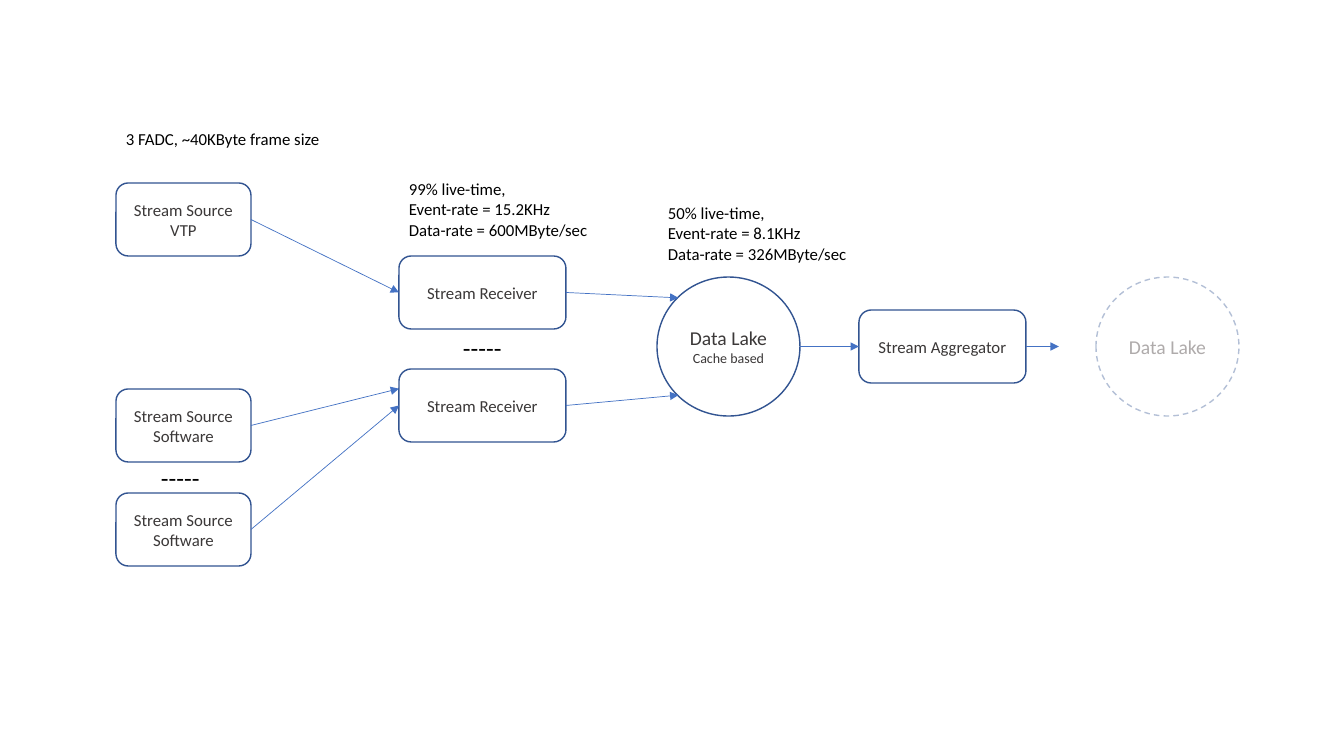
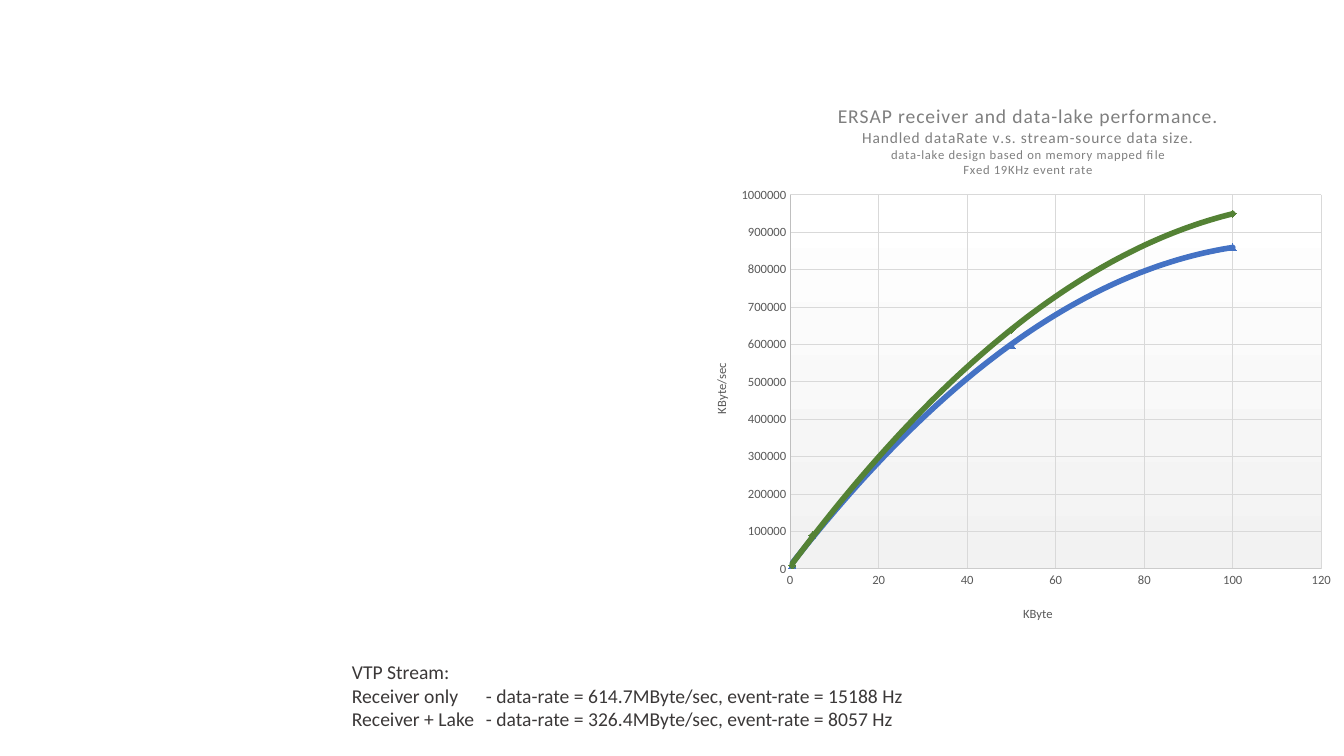
"""Build two slides: a streaming data pipeline and its measured performance."""
from dataclasses import dataclass

from lxml.etree import SubElement
from pptx import Presentation
from pptx.chart.data import XyChartData
from pptx.dml.color import RGBColor
from pptx.enum.chart import XL_CHART_TYPE as ChartType, XL_MARKER_STYLE as Marker, XL_TICK_MARK as Tick
from pptx.enum.dml import MSO_LINE as Dash
from pptx.enum.shapes import MSO_CONNECTOR as Connector, MSO_SHAPE as Shape
from pptx.enum.text import MSO_ANCHOR as Anchor, PP_ALIGN as Align
from pptx.oxml import parse_xml
from pptx.oxml.ns import nsdecls, qn
from pptx.util import Pt


@dataclass(frozen=True)
class Theme:
    font: str = "Calibri"
    black: str = "000000"
    text: str = "3B3838"
    muted: str = "AFABAB"
    outline: str = "325491"
    arrow: str = "4472C4"
    chart_title: str = "7F7F7F"
    axis_text: str = "595959"
    axis_x: str = "CCCCCC"
    axis_y: str = "BFBFBF"
    grid: str = "D9D9D9"
    plot_top: str = "FFFFFF"
    plot_bottom: str = "F2F2F2"
    with_lake: str = "548235"
    dashes: int = 18
    heading: int = 14
    subheading: int = 11
    body: int = 12
    small: int = 10
    axis: int = 9


THEME = Theme()
SLIDE_SIZE = (1344, 756)
SOURCE_SIZE, WORKER_SIZE, LAKE_SIZE = (135, 73), (167, 73), (143, 139)

BOXES = {
    "vtp": (116, 183, SOURCE_SIZE, ["Stream Source", "VTP"]),
    "software 1": (116, 389, SOURCE_SIZE, ["Stream Source", "Software"]),
    "software 2": (116, 493, SOURCE_SIZE, ["Stream Source", "Software"]),
    "receiver 1": (399, 256, WORKER_SIZE, ["Stream Receiver"]),
    "receiver 2": (399, 369, WORKER_SIZE, ["Stream Receiver"]),
    "aggregator": (859, 310, WORKER_SIZE, ["Stream Aggregator"]),
}
LAKES = {
    "lake": (657, 277, LAKE_SIZE, ["Data Lake", "Cache based"]),
    "next lake": (1096, 277, LAKE_SIZE, ["Data Lake"]),
}
LEFT, UPPER_LEFT, LOWER_LEFT = (0, 0.5), (0.15, 0.15), (0.15, 0.85)
ARROWS = [
    ("vtp", "receiver 1", LEFT),
    ("software 1", "receiver 2", (0, 0.27)),
    ("software 2", "receiver 2", LEFT),
    ("receiver 1", "lake", UPPER_LEFT),
    ("receiver 2", "lake", LOWER_LEFT),
    ("lake", "aggregator", LEFT),
    ("aggregator", "next lake", (-0.26, 0.5)),
]
NOTES = [
    ((116, 124, 217, 30), THEME.body, ["3 FADC, ~40KByte frame size"]),
    ((399, 174, 201, 72), THEME.body,
     ["99% live-time,", "Event-rate = 15.2KHz", "Data-rate = 600MByte/sec"]),
    ((658, 198, 201, 72), THEME.body,
     ["50% live-time,", "Event-rate = 8.1KHz", "Data-rate = 326MByte/sec"]),
    ((151, 457, 59, 40), THEME.dashes, ["-----"]),
    ((453, 327, 59, 40), THEME.dashes, ["-----"]),
]

RESULTS_BOX = (342, 655, 576, 82)
RESULTS_TAB = 134
RESULTS = [
    "VTP Stream:",
    "Receiver only\t- data-rate = 614.7MByte/sec, event-rate = 15188 Hz",
    "Receiver + Lake\t- data-rate = 326.4MByte/sec, event-rate = 8057 Hz",
]
CHART_BOX = (688, 78, 655, 560)
PLOT_BOX = (790, 195, 531, 374)
CHART_TITLE = [
    ("ERSAP receiver and data-lake performance.", THEME.heading),
    ("Handled dataRate v.s. stream-source data size.", THEME.subheading),
    ("data-lake design based on memory mapped file", THEME.axis),
    ("Fxed 19KHz event rate", THEME.axis),
]
CHART_TITLE_AT = (835, 100)
SIZES = [0.5, 5, 50, 100]
SERIES = [
    ("Series 1", [10000, 90000, 640000, 950000], THEME.with_lake, Marker.DIAMOND),
    ("Series 2", [10000, 90000, 600000, 860000], THEME.arrow, Marker.TRIANGLE),
]


def px(length):
    return round(length * 914400 / 100.8)


def emu(box):
    return [px(length) for length in box]


def rgb(color):
    return RGBColor.from_string(color)


def set_font(font, size, color):
    font.name, font.size, font.bold = THEME.font, Pt(size), False
    font.color.rgb = rgb(color)


def set_line(line, color, width):
    line.color.rgb = rgb(color)
    line.width = Pt(width)


def write(text_frame, lines, sizes, color, align=Align.LEFT):
    text_frame.text = "\n".join(lines)
    for paragraph, size in zip(text_frame.paragraphs, sizes):
        paragraph.alignment = align
        for run in paragraph.runs:
            set_font(run.font, size, color)


def add_node(slide, kind, node, sizes, color=THEME.text):
    left, top, size, lines = node
    shape = slide.shapes.add_shape(kind, *emu((left, top, *size)))
    shape.shadow.inherit = False
    shape.fill.background()
    set_line(shape.line, THEME.outline, 1)
    shape.text_frame.vertical_anchor = Anchor.MIDDLE
    shape.text_frame.word_wrap = True
    write(shape.text_frame, lines, sizes, color, Align.CENTER)
    return shape


def add_note(slide, box, size, lines, color=THEME.black):
    text_frame = slide.shapes.add_textbox(*emu(box)).text_frame
    text_frame.word_wrap = False
    write(text_frame, lines, [size] * len(lines), color)
    return text_frame


def point_on(node, across, down):
    left, top, (width, height), _ = node
    return left + across * width, top + down * height


def add_arrow(slide, start, end):
    arrow = slide.shapes.add_connector(Connector.STRAIGHT, *emu(start + end))
    set_line(arrow.line, THEME.arrow, 0.5)
    properties = arrow.element.spPr
    SubElement(properties.find(qn("a:ln")), qn("a:tailEnd"), type="triangle")
    SubElement(properties, qn("a:effectLst"))


def build_pipeline(slide):
    for node in BOXES.values():
        add_node(slide, Shape.ROUNDED_RECTANGLE, node, [THEME.body] * 2)
    lake_sizes = [THEME.heading, THEME.small]
    add_node(slide, Shape.OVAL, LAKES["lake"], lake_sizes)
    planned = add_node(slide, Shape.OVAL, LAKES["next lake"], lake_sizes, THEME.muted)
    planned.line.dash_style = Dash.DASH
    for color in planned.element.spPr.find(qn("a:ln")).iter(qn("a:srgbClr")):
        SubElement(color, qn("a:alpha"), val="36000")
    nodes = BOXES | LAKES
    for source, target, side in ARROWS:
        add_arrow(slide, point_on(nodes[source], 1, 0.5), point_on(nodes[target], *side))
    for note in NOTES:
        add_note(slide, *note)


def place(element, index, box, inner=False):
    """Fix a chart part at a pixel box, given as fractions of the chart."""
    for old in element.findall(qn("c:layout")):
        element.remove(old)
    left, top, width, height = CHART_BOX
    fractions = zip("xywh", box, (left, top, 0, 0), (width, height) * 2)
    target = '<c:layoutTarget val="inner"/>' if inner else ""
    modes = "".join(f'<c:{axis}Mode val="edge"/>' for axis in "xy")
    values = "".join(f'<c:{name} val="{(value - origin) / extent:.3f}"/>'
                     for name, value, origin, extent in fractions)
    element.insert(index, parse_xml(
        f'<c:layout {nsdecls("c")}><c:manualLayout>{target}{modes}{values}'
        '</c:manualLayout></c:layout>'))


def style_axis(axis, title, title_at, maximum, step, line_color):
    axis.minimum_scale, axis.maximum_scale, axis.major_unit = 0, maximum, step
    axis.major_tick_mark = axis.minor_tick_mark = Tick.NONE
    axis.has_major_gridlines = True
    set_line(axis.major_gridlines.format.line, THEME.grid, 0.75)
    set_line(axis.format.line, line_color, 0.75)
    set_font(axis.tick_labels.font, THEME.axis, THEME.axis_text)
    axis.tick_labels.number_format = "0"
    axis.tick_labels.number_format_is_linked = False
    write(axis.axis_title.text_frame, [title], [THEME.axis], THEME.axis_text, Align.CENTER)
    place(axis.axis_title._element, 1, title_at)


def style_series(series, color, marker):
    series.smooth = False
    series.format.line.fill.background()
    series.marker.style, series.marker.size = marker, 5
    series.marker.format.fill.solid()
    series.marker.format.fill.fore_color.rgb = rgb(color)
    series.marker.format.line.color.rgb = rgb(color)
    series._element.find(qn("c:xVal")).addprevious(parse_xml(
        f'<c:trendline {nsdecls("c", "a")}><c:spPr><a:ln w="{Pt(4)}" cap="rnd"><a:solidFill>'
        f'<a:srgbClr val="{color}"/></a:solidFill></a:ln></c:spPr>'
        '<c:trendlineType val="poly"/><c:order val="2"/>'
        '<c:dispRSqr val="0"/><c:dispEq val="0"/></c:trendline>'))


def add_performance_chart(slide):
    data = XyChartData()
    for name, rates, _, _ in SERIES:
        series = data.add_series(name)
        for size, rate in zip(SIZES, rates):
            series.add_data_point(size, rate)
    chart = slide.shapes.add_chart(ChartType.XY_SCATTER, *emu(CHART_BOX), data).chart
    chart.has_legend = False
    set_font(chart.font, THEME.small, THEME.black)
    chart.plots[0].vary_by_categories = False
    for series, (_, _, color, marker) in zip(chart.plots[0].series, SERIES):
        style_series(series, color, marker)

    lines, sizes = zip(*CHART_TITLE)
    title_frame = chart.chart_title.text_frame
    write(title_frame, lines, sizes, THEME.chart_title, Align.CENTER)
    for paragraph in title_frame.paragraphs:
        for run in paragraph.runs:
            run._r.get_or_add_rPr().set("spc", "50")
    place(chart.chart_title._element, 1, CHART_TITLE_AT)

    style_axis(chart.category_axis, "KByte", (1021, 603), 120, 20, THEME.axis_x)
    style_axis(chart.value_axis, "KByte/sec", (711, 361), 1000000, 100000, THEME.axis_y)
    for body in chart.value_axis.axis_title._element.iter(qn("a:bodyPr")):
        body.set("rot", "-5400000")
        body.set("vert", "horz")

    plot_area = chart.element.find(".//" + qn("c:plotArea"))
    place(plot_area, 0, PLOT_BOX, inner=True)
    stops = "".join(f'<a:gs pos="{position}"><a:srgbClr val="{color}"/></a:gs>'
                    for position, color in ((0, THEME.plot_top), (100000, THEME.plot_bottom)))
    plot_area.append(parse_xml(
        f'<c:spPr {nsdecls("c", "a")}><a:gradFill><a:gsLst>{stops}</a:gsLst>'
        '<a:lin ang="5400000" scaled="0"/></a:gradFill></c:spPr>'))


def build_performance(slide):
    results = add_note(slide, RESULTS_BOX, THEME.heading, RESULTS, THEME.text)
    for paragraph in results.paragraphs:
        tabs = SubElement(paragraph._p.get_or_add_pPr(), qn("a:tabLst"))
        SubElement(tabs, qn("a:tab"), pos=str(px(RESULTS_TAB)), algn="l")
    add_performance_chart(slide)


presentation = Presentation()
presentation.slide_width, presentation.slide_height = emu(SLIDE_SIZE)
for build in (build_pipeline, build_performance):
    build(presentation.slides.add_slide(presentation.slide_layouts[6]))
presentation.save("out.pptx")
